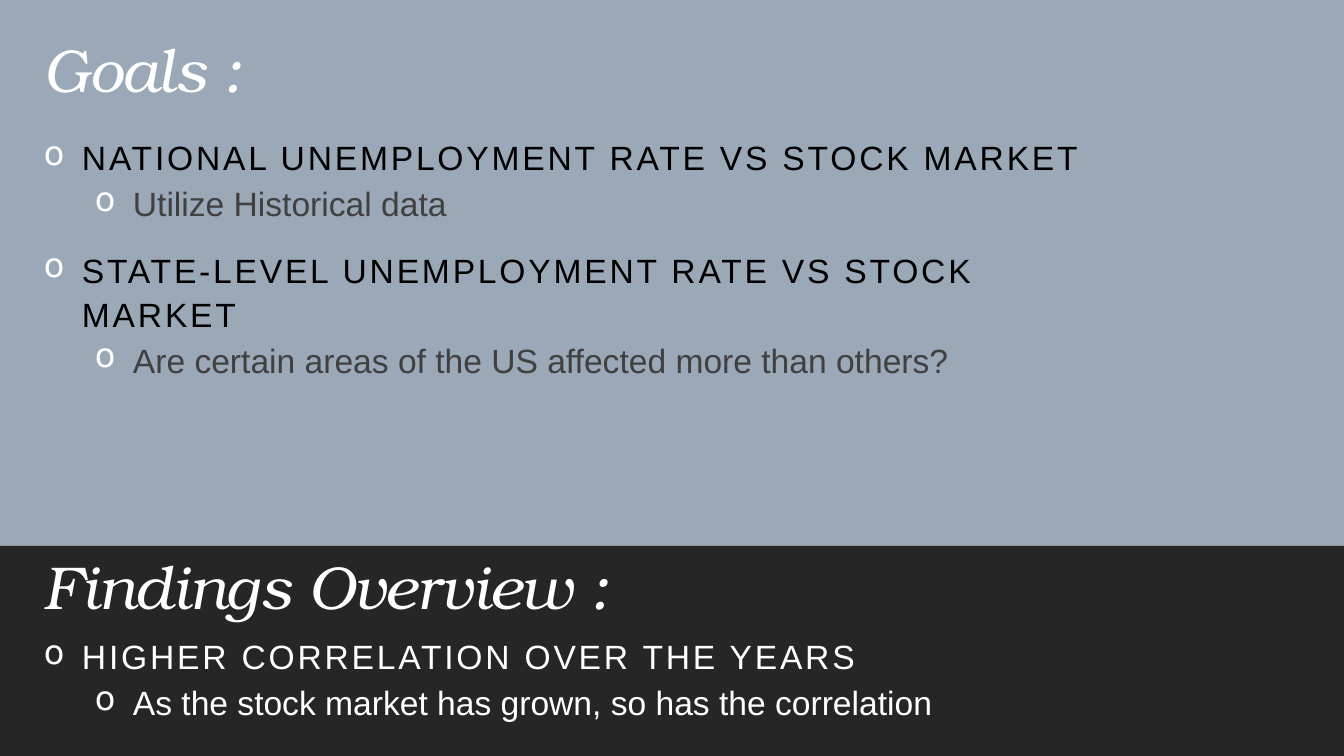
from lxml.etree import SubElement
from pptx import Presentation
from pptx.dml.color import RGBColor as RGB
from pptx.enum.shapes import MSO_SHAPE as Shape
from pptx.enum.text import MSO_ANCHOR as Anchor
from pptx.oxml.ns import qn
from pptx.util import Pt

PX = 914400 / 100.8
WIDTH, HEIGHT = 1344, 756
LEFT, TEXT_WIDTH, TITLE_HEIGHT = 34, 1109, 72
HANGING, LEVEL_STEP = 38, 51
COLORS = {"slate": "9BA8B7", "charcoal": "262626", "white": "FFFFFF",
          "black": "000000", "gray": "404040"}


def px(length):
    """Turn a length in px into EMU."""
    return round(length * PX)


def add_text_frame(slide, top, height):
    """Add a wrapping text box in the text column and return its frame."""
    box = slide.shapes.add_textbox(px(LEFT), px(top), px(TEXT_WIDTH), px(height))
    box.text_frame.word_wrap = True
    return box.text_frame


def add_run(paragraph, text, size, font, color, spacing):
    """Add a styled run with letter spacing in hundredths of a point."""
    run = paragraph.add_run()
    run.text = text
    run.font.size = Pt(size)
    run.font.name = font
    run.font.color.rgb = RGB.from_string(COLORS[color])
    run._r.get_or_add_rPr().set("spc", str(spacing))
    return run


def add_title(slide, top, text, line_spacing):
    """Add an italic serif heading."""
    frame = add_text_frame(slide, top, TITLE_HEIGHT)
    frame.vertical_anchor = Anchor.MIDDLE
    paragraph = frame.paragraphs[0]
    paragraph.line_spacing = line_spacing
    add_run(paragraph, text, 43.2, "TeX Gyre Bonum", "white", -50).font.italic = True


def set_bullet(paragraph, level):
    """Give a paragraph a white hanging bullet for its level."""
    paragraph.level = level
    properties = paragraph._p.get_or_add_pPr()
    properties.set("marL", str(px(HANGING + level * LEVEL_STEP)))
    properties.set("indent", str(-px(HANGING)))
    bullet_color = SubElement(properties, qn("a:buClr"))
    SubElement(bullet_color, qn("a:srgbClr")).set("val", COLORS["white"])
    SubElement(properties, qn("a:buChar")).set("char", "o")


def add_points(slide, top, height, points, colors):
    """Add a two-level list of topics, each with one detail."""
    frame = add_text_frame(slide, top, height)
    lines = [(level, text) for point in points for level, text in enumerate(point)]
    for index, (level, text) in enumerate(lines):
        paragraph = frame.add_paragraph() if index else frame.paragraphs[0]
        paragraph.line_spacing = (1.1, 1.0)[level]
        paragraph.space_before = Pt((12, 2)[level])
        paragraph.space_after = Pt((2, 4)[level])
        set_bullet(paragraph, level)
        add_run(paragraph, text, 24, "Arial", colors[level], (200, 0)[level])


def add_region(slide, top, height, fill, title, title_offset, title_spacing,
               points, points_offset, points_height, colors):
    """Draw a full-width band with its heading and list."""
    band = slide.shapes.add_shape(Shape.RECTANGLE, 0, px(top), px(WIDTH), px(height))
    band.shadow.inherit = False
    band.fill.solid()
    band.fill.fore_color.rgb = RGB.from_string(COLORS[fill])
    band.line.fill.background()
    add_title(slide, top + title_offset, title, title_spacing)
    add_points(slide, top + points_offset, points_height, points, colors)


def main():
    """Build the slide and save it."""
    deck = Presentation()
    deck.slide_width, deck.slide_height = px(WIDTH), px(HEIGHT)
    slide = deck.slides.add_slide(deck.slide_layouts[6])
    goals = [
        ("NATIONAL UNEMPLOYMENT RATE VS STOCK MARKET", "Utilize Historical data"),
        ("STATE-LEVEL UNEMPLOYMENT RATE VS STOCK MARKET",
         "Are certain areas of the US affected more than others?"),
    ]
    findings = [("HIGHER CORRELATION OVER THE YEARS",
                 "As the stock market has grown, so has the correlation")]
    add_region(slide, 0, HEIGHT, "slate", "Goals :", 37, 0.9,
               goals, 128, 394, ("black", "gray"))
    add_region(slide, 546, 210, "charcoal", "Findings Overview :", 10, 0.8,
               findings, 81, 129, ("white", "white"))
    deck.save("out.pptx")


if __name__ == "__main__":
    main()
